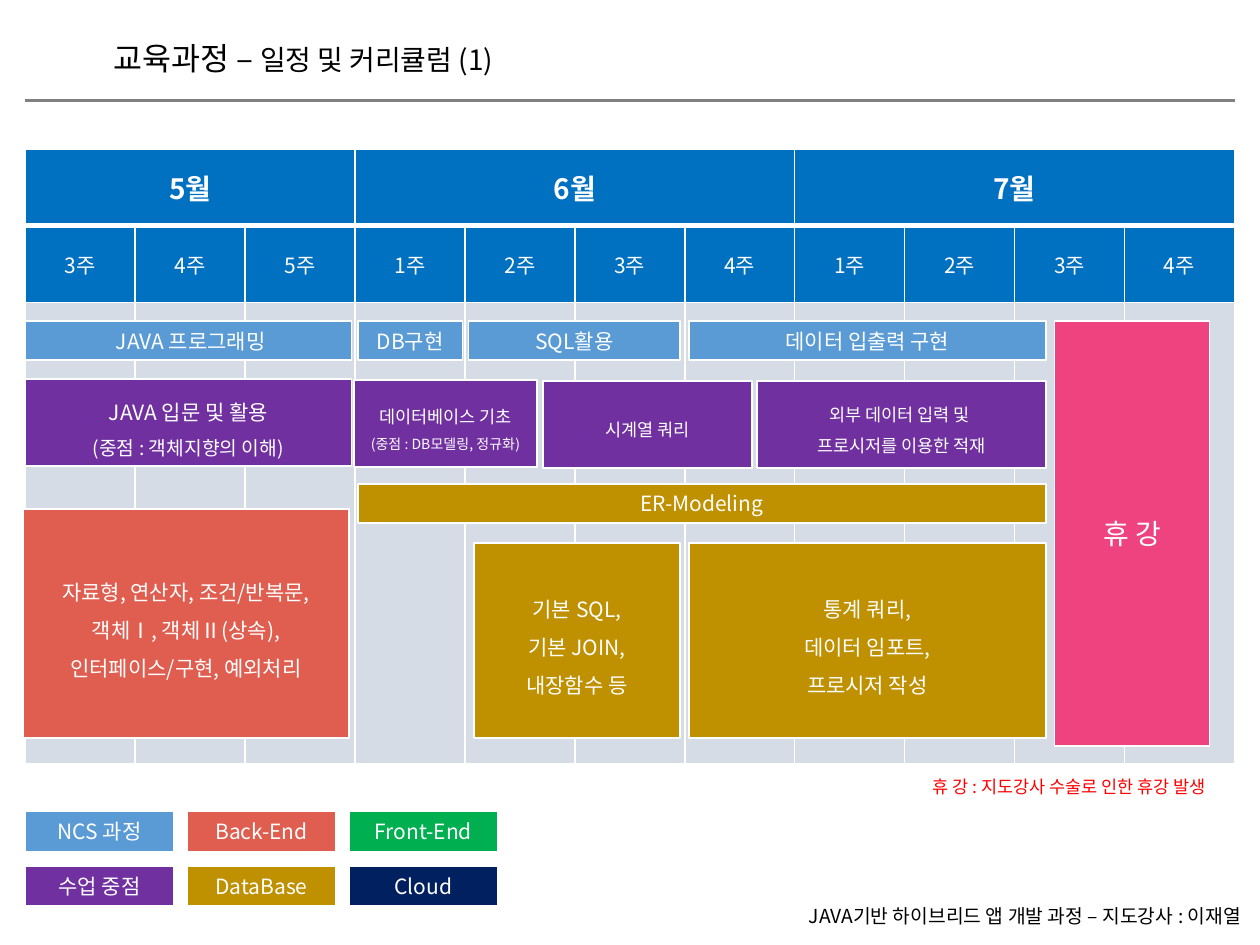
from lxml.etree import SubElement
from pptx import Presentation
from pptx.dml.color import RGBColor
from pptx.enum.shapes import MSO_CONNECTOR as Connector, MSO_SHAPE as Shape
from pptx.enum.text import MSO_ANCHOR as Anchor, MSO_AUTO_SIZE as AutoSize, PP_ALIGN as Align
from pptx.oxml.ns import qn
from pptx.util import Pt

THEME = {
    "font": "Noto Sans CJK KR",
    "white": "FFFFFF", "black": "000000", "red": "FF0000", "rule": "808080",
    "header": "0070C0", "body": "D6DCE5",
    "ncs": "5B9BD5", "focus": "7030A0", "backend": "E05E50",
    "database": "BF9000", "frontend": "00B050", "cloud": "002060", "break": "EF4380",
    "title": 18, "heading": 16, "text": 12, "note": 11, "small": 10, "tiny": 8,
}

MONTHS = [("5월", ["3주", "4주", "5주"]),
          ("6월", ["1주", "2주", "3주", "4주"]),
          ("7월", ["1주", "2주", "3주", "4주"])]
LEFT, WIDTH = 14.4, 691.2
CALENDAR_TOP, ROW_HEIGHTS = 85, [43.9, 43.9, 263.5]

# colour, height, line spacing, then blocks: left, top, width, lines of (text, size)
BANDS = [
    ("ncs", 22.3, 1, [
        (14.4, 183.6, 186.5, [(" JAVA 프로그래밍", "text")]),
        (204.5, 183.6, 59.8, [("DB구현", "text")]),
        (267.8, 183.6, 121, [("SQL활용", "text")]),
        (393.8, 183.6, 203.8, [("데이터 입출력 구현", "text")])]),
    ("break", 242.6, 1, [(602.6, 183.6, 88.6, [("휴 강", "heading")])]),
    ("backend", 131, 1.5, [
        (13, 290.9, 186.5, [("자료형, 연산자, 조건/반복문,", "text"),
                            ("객체Ⅰ, 객체Ⅱ(상속),", "text"),
                            ("인터페이스/구현, 예외처리", "text")])]),
    ("database", 22.3, 1, [(204.5, 276.5, 393.1, [("ER-Modeling", "text")])]),
    ("database", 111.6, 1.5, [
        (270.7, 310.3, 118.1, [("기본 SQL,", "text"), ("기본 JOIN,", "text"),
                               ("내장함수 등", "text")]),
        (393.8, 310.3, 203.8, [("통계 쿼리,", "text"), ("데이터 임포트,", "text"),
                               ("프로시저 작성", "text")])]),
    ("focus", 49.7, 1.5, [
        (14.4, 216.7, 186.5, [("JAVA 입문 및 활용", "text"),
                              ("(중점 : 객체지향의 이해)", "note")]),
        (202.3, 217.2, 104.4, [("데이터베이스 기초", "small"),
                               ("(중점 : DB모델링, 정규화)", "tiny")]),
        (310.3, 217.8, 119.5, [("시계열 쿼리", "small")]),
        (432.7, 217.8, 164.9, [("외부 데이터 입력 및 ", "small"),
                               ("프로시저를 이용한 적재", "small")])]),
]

LEGEND = [[("NCS 과정", "ncs"), ("Back-End", "backend"), ("Front-End", "frontend")],
          [("수업 중점", "focus"), ("DataBase", "database"), ("Cloud", "cloud")]]
LEGEND_TOP, LEGEND_STEP_X, LEGEND_STEP_Y = 463.7, 92.5, 31
LEGEND_WIDTH, LEGEND_HEIGHT = 85, 23

# left, top, width, height, alignment, colour, runs of (text, size)
CAPTIONS = [
    (57.6, 18.7, 311.8, 28.8, Align.LEFT, "black",
     [("교육과정 – ", "title"), ("일정 및 커리큘럼 (1)", "heading")]),
    (429.8, 513.4, 311.8, 20.9, Align.CENTER, "black",
     [("JAVA기반 하이브리드 앱 개발 과정 – 지도강사 : 이재열", "note")]),
    (496.1, 439.9, 229.7, 19.4, Align.CENTER, "red",
     [("휴 강 : 지도강사 수술로 인한 휴강 발생", "small")]),
]


def rgb(name):
    return RGBColor.from_string(THEME[name])


def style_run(run, size, colour="white", bold=False):
    run.font.name = THEME["font"]
    run.font.size = Pt(THEME[size])
    run.font.bold = bold
    run.font.color.rgb = rgb(colour)
    # Hangul takes the East Asian typeface, which follows latin
    SubElement(run.font._element, qn("a:ea"), typeface=THEME["font"])


def add_block(slide, left, top, width, height, colour, lines, spacing=1):
    block = slide.shapes.add_shape(Shape.RECTANGLE, Pt(left), Pt(top), Pt(width), Pt(height))
    block.shadow.inherit = False
    block.fill.solid()
    block.fill.fore_color.rgb = rgb(colour)
    block.line.color.rgb = rgb("white")
    block.line.width = Pt(1)
    frame = block.text_frame
    frame.word_wrap = True
    frame.vertical_anchor = Anchor.MIDDLE
    frame.text = "\n".join(text for text, _ in lines)
    for paragraph, (_, size) in zip(frame.paragraphs, lines):
        paragraph.alignment = Align.CENTER
        paragraph.line_spacing = spacing
        style_run(paragraph.runs[0], size)


def add_caption(slide, left, top, width, height, alignment, colour, runs):
    frame = slide.shapes.add_textbox(Pt(left), Pt(top), Pt(width), Pt(height)).text_frame
    frame.word_wrap = True
    frame.auto_size = AutoSize.SHAPE_TO_FIT_TEXT
    paragraph = frame.paragraphs[0]
    paragraph.alignment = alignment
    for text, size in runs:
        run = paragraph.add_run()
        run.text = text
        style_run(run, size, colour)


def add_rule(slide):
    rule = slide.shapes.add_connector(Connector.STRAIGHT, Pt(LEFT), Pt(57.6),
                                      Pt(LEFT + WIDTH), Pt(57.6))
    rule.line.color.rgb = rgb("rule")
    rule.line.width = Pt(1.5)
    SubElement(rule._element.spPr, qn("a:effectLst"))


def style_cell(cell, colour, top=1, bottom=1):
    """Border and fill a cell; the borders must precede the fill in the XML."""
    properties = cell._tc.get_or_add_tcPr()
    for side, weight in (("L", 1), ("R", 1), ("T", top), ("B", bottom)):
        border = SubElement(properties, qn("a:ln" + side), w=str(Pt(weight)))
        SubElement(SubElement(border, qn("a:solidFill")), qn("a:srgbClr"), val=THEME["white"])
    cell.fill.solid()
    cell.fill.fore_color.rgb = rgb(colour)


def write_cell(cell, text, size, bold=False):
    cell.text = text
    cell.vertical_anchor = Anchor.MIDDLE
    paragraph = cell.text_frame.paragraphs[0]
    paragraph.alignment = Align.CENTER
    style_run(paragraph.runs[0], size, bold=bold)


def add_calendar(slide):
    week_count = sum(len(weeks) for _, weeks in MONTHS)
    calendar = slide.shapes.add_table(len(ROW_HEIGHTS), week_count, Pt(LEFT), Pt(CALENDAR_TOP),
                                      Pt(WIDTH), Pt(sum(ROW_HEIGHTS))).table
    for row, height in zip(calendar.rows, ROW_HEIGHTS):
        row.height = Pt(height)
    for column in range(week_count):
        calendar.columns[column].width = Pt(WIDTH / week_count)
        style_cell(calendar.cell(0, column), "header", bottom=3)
        style_cell(calendar.cell(1, column), "header", top=3)
        style_cell(calendar.cell(2, column), "body")
    first = 0
    for month, weeks in MONTHS:
        calendar.cell(0, first).merge(calendar.cell(0, first + len(weeks) - 1))
        write_cell(calendar.cell(0, first), month, "heading", bold=True)
        for column, week in enumerate(weeks, first):
            write_cell(calendar.cell(1, column), week, "text")
        first += len(weeks)


def main():
    deck = Presentation()
    deck.slide_width, deck.slide_height = Pt(720), Pt(540)
    slide = deck.slides.add_slide(deck.slide_layouts[6])
    add_rule(slide)
    add_calendar(slide)
    for colour, height, spacing, blocks in BANDS:
        for left, top, width, lines in blocks:
            add_block(slide, left, top, width, height, colour, lines, spacing)
    for row, entries in enumerate(LEGEND):
        for column, (label, colour) in enumerate(entries):
            add_block(slide, LEFT + column * LEGEND_STEP_X, LEGEND_TOP + row * LEGEND_STEP_Y,
                      LEGEND_WIDTH, LEGEND_HEIGHT, colour, [(label, "text")])
    for caption in CAPTIONS:
        add_caption(slide, *caption)
    deck.save("out.pptx")


if __name__ == "__main__":
    main()
